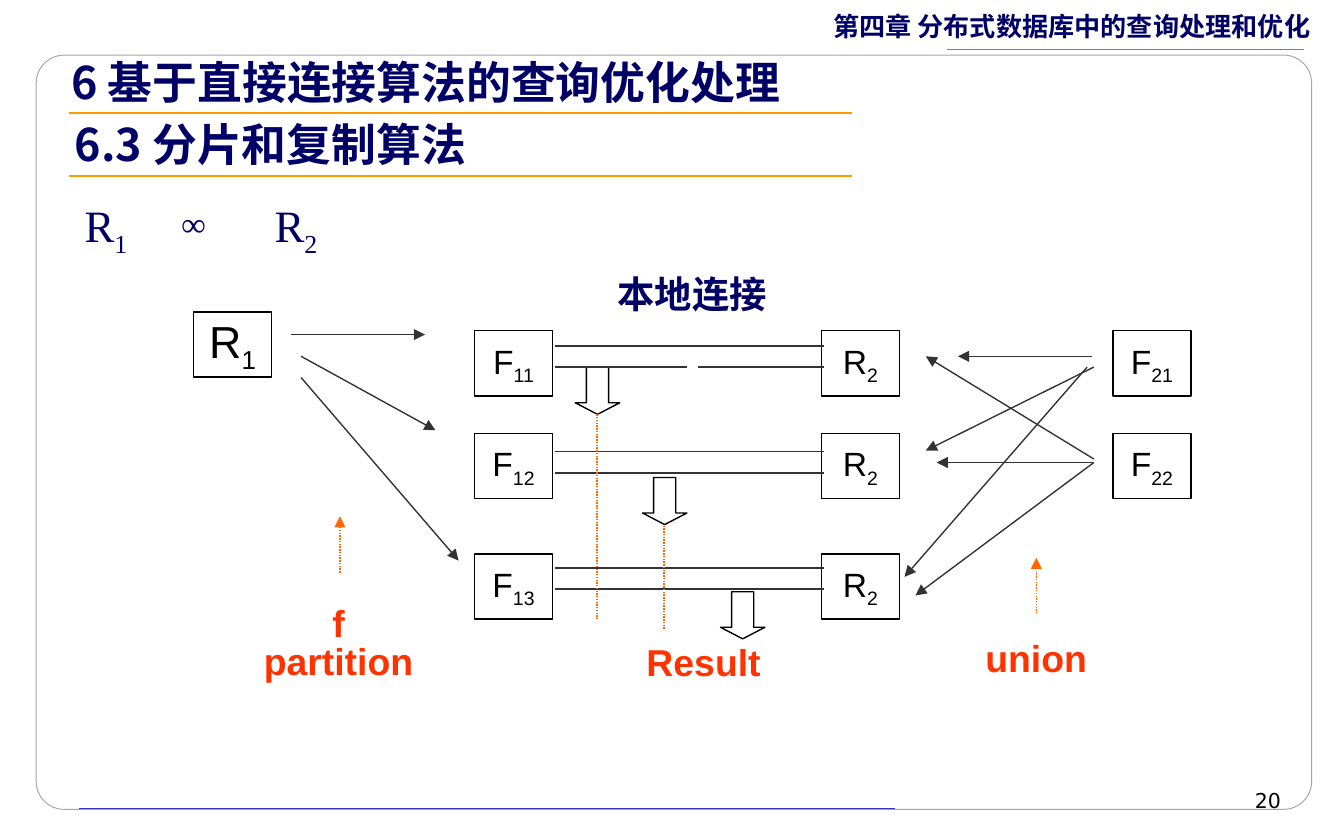
from pptx import Presentation
from pptx.dml.color import RGBColor
from pptx.enum.dml import MSO_LINE
from pptx.enum.shapes import MSO_CONNECTOR, MSO_SHAPE
from pptx.enum.text import MSO_ANCHOR, MSO_AUTO_SIZE, PP_ALIGN
from pptx.oxml.ns import qn
from pptx.util import Pt
from lxml.etree import SubElement

WHITE = RGBColor(0xFF, 0xFF, 0xFF)
BLACK = RGBColor(0, 0, 0)
NAVY = RGBColor(0, 0, 0x66)
BLUE = RGBColor(0x33, 0x33, 0xCC)
RED = RGBColor(0xFF, 0x33, 0)
ORANGE = RGBColor(0xFF, 0x66, 0)
GOLD = RGBColor(0xFF, 0x99, 0)
DARK = RGBColor(0x33, 0x33, 0x33)
GRAY = RGBColor(0x7F, 0x7F, 0x7F)
PALE = RGBColor(0xA5, 0xA5, 0xA5)
HAN = "Noto Sans CJK SC"
CELL_W, CELL_H = 41.8, 35
ROWS = (0, 55, 119.5)


def style(para, size, color, face="Arial", bold=False, align=PP_ALIGN.LEFT):
    para.alignment = align
    font = para.font
    font.size, font.bold, font.name = Pt(size), bold, face
    font.color.rgb = color
    east = SubElement(para._p.pPr.find(qn("a:defRPr")), qn("a:ea"))
    east.set("typeface", HAN)


def fit(frame, anchor=MSO_ANCHOR.TOP, wrap=True):
    frame.auto_size = MSO_AUTO_SIZE.NONE
    frame.word_wrap = wrap
    frame.vertical_anchor = anchor
    frame.margin_left = frame.margin_right = Pt(7.2)
    frame.margin_top = frame.margin_bottom = Pt(3.6)


def label(slide, x, y, w, h, text, size, color, anchor=MSO_ANCHOR.TOP, **kind):
    frame = slide.shapes.add_textbox(Pt(x), Pt(y), Pt(w), Pt(h)).text_frame
    fit(frame, anchor)
    frame.text = text
    for para in frame.paragraphs:
        style(para, size, color, **kind)
    return frame


def caption(slide, x, y, w, h, text, color=RED):
    return label(slide, x, y, w, h, text, 20, color, MSO_ANCHOR.MIDDLE,
                 bold=True, align=PP_ALIGN.CENTER)


def index(para, base, sub):
    para.add_run().text = base
    run = para.add_run()
    run.text = sub
    run._r.get_or_add_rPr().set("baseline", "-25000")


def shape(slide, kind, x, y, w, h, edge=BLACK, width=0.75):
    item = slide.shapes.add_shape(kind, Pt(x), Pt(y), Pt(w), Pt(h))
    item.shadow.inherit = False
    item.fill.solid()
    item.fill.fore_color.rgb = WHITE
    item.line.color.rgb = edge
    item.line.width = Pt(width)
    return item


def cell(slide, x, y, base, sub, size=18):
    frame = shape(slide, MSO_SHAPE.RECTANGLE, x, y, CELL_W, CELL_H).text_frame
    fit(frame, MSO_ANCHOR.MIDDLE, False)
    para = frame.paragraphs[0]
    index(para, base, sub)
    style(para, size, BLACK, align=PP_ALIGN.CENTER)


def line(slide, x1, y1, x2, y2, color=DARK, width=0.75, dots=False, head=False):
    item = slide.shapes.add_connector(
        MSO_CONNECTOR.STRAIGHT, Pt(x1), Pt(y1), Pt(x2), Pt(y2))
    item.line.color.rgb = color
    item.line.width = Pt(width)
    if dots:
        item.line.dash_style = MSO_LINE.ROUND_DOT
    if head:
        SubElement(item.line._get_or_add_ln(), qn("a:tailEnd")).set("type", "triangle")
    SubElement(item._element.spPr, qn("a:effectLst"))


def border(slide, x, y, w, h):
    panel = shape(slide, MSO_SHAPE.ROUNDED_RECTANGLE, x, y, w, h, PALE, 0.5)
    panel.adjustments[0] = 0.037
    line(slide, x + 23, y + h - 0.7, x + 460, y + h - 0.7, BLUE, 0.25)
    label(slide, x + 419.8, y - 27.4, 278, 24, "第四章 分布式数据库中的查询处理和优化",
          14, NAVY, face=HAN, bold=True)
    line(slide, x + 679, y - 2.9, x + 488, y - 2.9, GRAY)
    label(slide, x + 494, y + 388.8, 180, 20, "20", 11, BLACK,
          face="DejaVu Sans", align=PP_ALIGN.RIGHT)


def heading(slide, x, y, w):
    title = slide.shapes.title
    title.left, title.top, title.width, title.height = Pt(x), Pt(y), Pt(482), Pt(36)
    frame = title.text_frame
    fit(frame)
    frame.text = "6 基于直接连接算法的查询优化处理"
    style(frame.paragraphs[0], 24, NAVY, HAN, True)
    label(slide, x + 2, y + 33, 360, 36, "6.3 分片和复制算法",
          24, NAVY, face=HAN, bold=True)
    for rule in (34.6, 68.4):
        line(slide, x + 5.8, y + rule, x + 5.8 + w, y + rule, GOLD, 1.5)


def formula(slide, x, y):
    for left, sub in ((0, "1"), (101.8, "2")):
        frame = label(slide, x + left, y, 54, 40, "", 24, NAVY, face="Times New Roman")
        index(frame.paragraphs[0], "R", sub)
    label(slide, x + 52, y + 2.9, 45, 29, "∞", 18, NAVY,
          face="Times New Roman", bold=True)


def split(slide, x, y):
    cell(slide, x, y, "R", "1", 24)
    for x1, y1, x2, y2 in ((52, 12.2, 124, 12.2), (57.6, 23.8, 129.6, 63.4),
                           (57.6, 35.2, 142, 133.2)):
        line(slide, x + x1, y + y1, x + x2, y + y2, head=True)
    line(slide, x + 78.4, y + 139.6, x + 78.4, y + 109.5, ORANGE, dots=True, head=True)
    frame = caption(slide, x + 30.2, y + 150.5, 95, 49, "f\npartition")
    last = frame.paragraphs[1]
    last.space_before = Pt(12.5)
    last.line_spacing = 0.2


def join(slide, x, y):
    for number, top in enumerate(ROWS, 1):
        cell(slide, x, y + top, "F", f"1{number}")
        cell(slide, x + 185.8, y + top, "R", "2")
    for left, top in ((54, 19.6), (90, 78.6), (131.8, 139.8)):
        arrow = shape(slide, MSO_SHAPE.DOWN_ARROW, x + left, y + top, 23.8, 25.2)
        arrow.adjustments[1] = 0.26
    for top in (8.1, 64.8, 127):
        for gap in (0, 11.4):
            line(slide, x + 43.2, y + top + gap, x + 187.2, y + top + gap)
    line(slide, x + 113.7, y + 19.5, x + 119.5, y + 19.5, WHITE)
    for left, top, end in ((65.6, 44.8, 155), (101.6, 104.4, 160)):
        line(slide, x + left, y + top, x + left, y + end, ORANGE, dots=True)
    caption(slide, x + 62.6, y - 36, 108, 32, "本地连接", NAVY)
    caption(slide, x + 72, y + 161.3, 101.5, 32, "Result")


def merge(slide, x, y):
    for number, top in enumerate(ROWS[:2], 1):
        cell(slide, x + 111.6, y + top, "F", f"2{number}")
    for x1, y1, x2, y2 in ((101.4, 70.6, 17.2, 70.6), (101.4, 68.7, 11.4, 13.7),
                           (101.4, 70.6, 5.8, 141.8), (100.6, 13.7, 28.6, 13.7),
                           (101.4, 19.5, 11.4, 64.2), (97.8, 19.5, 0, 131.8)):
        line(slide, x + x1, y + y1, x + x2, y + y2, head=True)
    line(slide, x + 70.6, y + 151.4, x + 70.6, y + 121.6, ORANGE, dots=True, head=True)
    caption(slide, x + 25.2, y + 159.2, 90.7, 32, "union")


def main():
    deck = Presentation()
    deck.slide_width, deck.slide_height = Pt(720), Pt(449.28)
    slide = deck.slides.add_slide(deck.slide_layouts[5])
    border(slide, 19.4, 29.5, 683.3, 403.9)
    split(slide, 103.7, 167)
    join(slide, 254.2, 177.1)
    merge(slide, 484.6, 177.1)
    formula(slide, 38.2, 102.2)
    heading(slide, 31, 25.9, 419.8)
    tree = slide.shapes._spTree
    tree.append(slide.shapes.title._element)
    deck.save("out.pptx")


if __name__ == "__main__":
    main()
